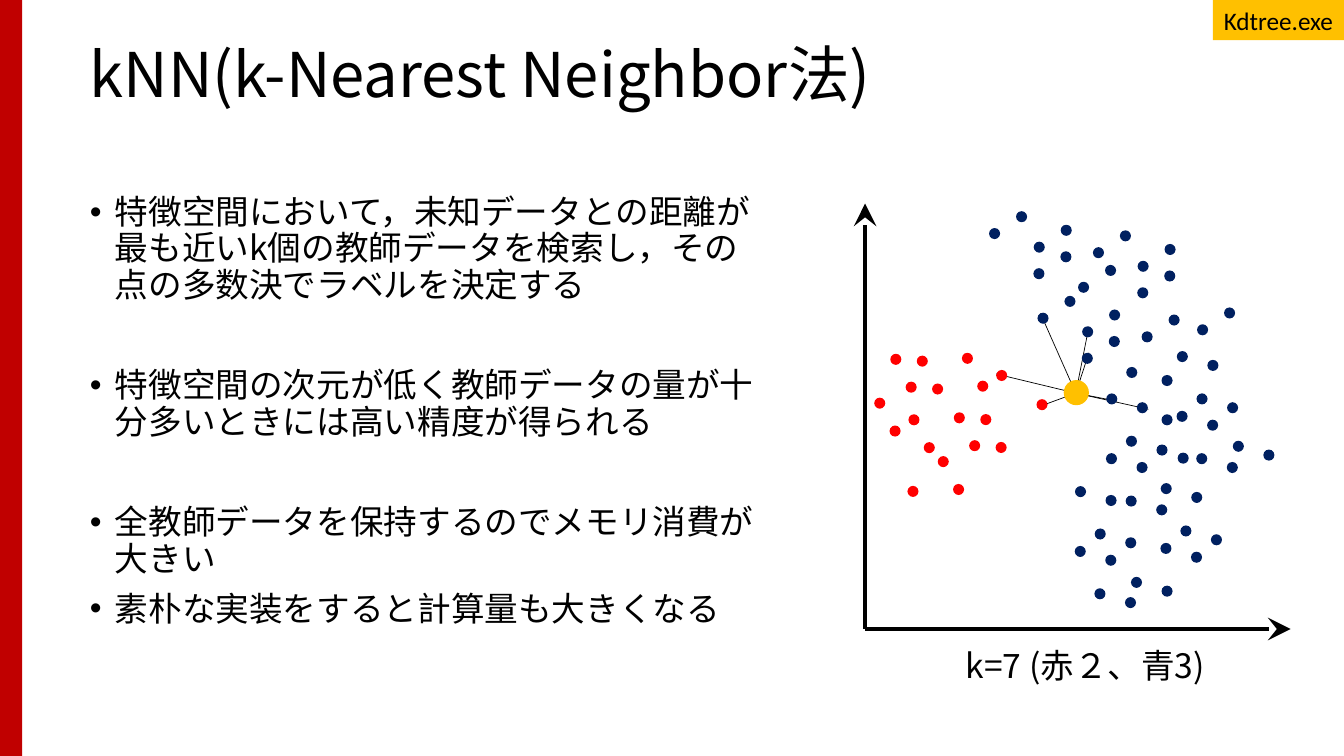
import math
from dataclasses import dataclass
from itertools import chain

from lxml import etree
from pptx import Presentation
from pptx import util as u
from pptx.dml.color import RGBColor
from pptx.enum import shapes, text
from pptx.oxml import ns

# The slide is a fine grid; every length below is a count of columns or rows
COLUMNS, ROWS = 1333, 750
CELL = u.Inches(0.01)


@dataclass(frozen=True)
class Theme:
    ink: str = "000000"
    bar: str = "C00000"
    red: str = "FF0000"
    blue: str = "002060"
    accent: str = "FFC000"
    font: str = "Noto Sans CJK JP"
    tag_font: str = "Calibri"
    title_size: int = 44
    body_size: int = 24
    tag_size: int = 18
    axis_width: float = 3.25
    link_width: float = 0.5


THEME = Theme()

# Space before a bullet in points: same topic or new topic
NEAR, FAR = 10, 46
BULLETS = [
    ("特徴空間において，未知データとの距離が最も近いk個の教師データを検索し，その点の多数決でラベルを決定する", 0),
    ("特徴空間の次元が低く教師データの量が十分多いときには高い精度が得られる", FAR),
    ("全教師データを保持するのでメモリ消費が大きい", FAR),
    ("素朴な実装をすると計算量も大きくなる", NEAR),
]

# One motif makes the scatter: pairs of dots at the corners of a parallelogram
PARTNER = (22.3, 22.3)  # from a dot to the other dot of its pair
HOME, NEXT, ACROSS, OPPOSITE = (0, 0), (-3.2, 46.2), (28.9, -51.8), (25.7, -5.6)
FULL = (HOME, NEXT, ACROSS, OPPOSITE)
THREE = (HOME, NEXT, OPPOSITE)
PAIR = (HOME,)


@dataclass(frozen=True)
class Cluster:
    """Motifs turned by one angle, each anchored at a cell, plus single dots."""
    color: str
    angle: float
    motifs: tuple
    singles: tuple

    def dots(self):
        for (left, top), pairs in self.motifs:
            for x, y in pairs:
                for partner_x, partner_y in (HOME, PARTNER):
                    dx, dy = rotate(x + partner_x, y + partner_y, self.angle)
                    yield left + dx, top + dy
        yield from self.singles


CLUSTERS = [
    Cluster(THEME.red, 16.2,
            (((883, 351), THREE), ((946, 409), THREE), ((901, 411), PAIR), ((954, 350), PAIR)),
            ((900, 482), (988, 367), (1028, 396))),
    Cluster(THEME.blue, 151.1,
            (((1147, 441), FULL), ((1116, 533), FULL), ((1217, 399), FULL),
             ((1201, 530), THREE), ((1152, 581), PAIR), ((1253, 446), PAIR)),
            ((1168, 449),)),
    Cluster(THEME.blue, 103,
            (((1052, 223), FULL), ((1155, 242), THREE), ((1100, 307), THREE),
             ((1159, 312), PAIR), ((1214, 305), PAIR)),
            ((1152, 411), (1117, 364), (1152, 372))),
]
DOT, QUERY_DOT = 11, 25
QUERY, QUERY_CENTRE = (1055, 377), (1067, 390)
RED_NEIGHBOURS = [(1029, 404), (988, 371)]
BLUE_NEIGHBOURS = [(1032, 311), (1108, 398), (1139, 406), (1080, 350), (1080, 324)]
ORIGIN, AXIS_LENGTH = (858, 624), 422


def rotate(x, y, degrees):
    cosine, sine = math.cos(math.radians(degrees)), math.sin(math.radians(degrees))
    return x * cosine - y * sine, x * sine + y * cosine


def cells(*counts):
    return [round(count * CELL) for count in counts]


def place(shape, left, top, width, height):
    shape.left, shape.top, shape.width, shape.height = cells(left, top, width, height)


def add_run(paragraph, wording, size, font=THEME.font):
    run = paragraph.add_run()
    run.text = wording
    run.font.size = u.Pt(size)
    run.font.name = font
    run.font.color.rgb = RGBColor.from_string(THEME.ink)
    etree.SubElement(run.font._element, ns.qn("a:ea")).set("typeface", font)


def add_filled(slide, kind, box, color):
    shape = slide.shapes.add_shape(kind, *cells(*box))
    shape.shadow.inherit = False
    shape.fill.solid()
    shape.fill.fore_color.rgb = RGBColor.from_string(color)
    shape.line.fill.background()
    return shape


def add_dot(slide, corner, size, color):
    add_filled(slide, shapes.MSO_SHAPE.OVAL, (*corner, size, size), color)


def add_line(slide, start, end, width, arrow=False):
    line = slide.shapes.add_connector(shapes.MSO_CONNECTOR.STRAIGHT, *cells(*start, *end))
    line.line.color.rgb = RGBColor.from_string(THEME.ink)
    line.line.width = u.Pt(width)
    if arrow:
        outline = line._element.spPr.find(ns.qn("a:ln"))
        etree.SubElement(outline, ns.qn("a:tailEnd"), type="stealth", w="lg", len="lg")
    etree.SubElement(line._element.spPr, ns.qn("a:effectLst"))


def prepare_frame(shape, anchor):
    frame = shape.text_frame
    frame.auto_size = text.MSO_AUTO_SIZE.NONE
    frame.vertical_anchor = anchor
    return frame


def fill_title(slide, wording):
    place(slide.shapes.title, 79, 37, 1205, 80)
    paragraph = prepare_frame(slide.shapes.title, text.MSO_ANCHOR.MIDDLE).paragraphs[0]
    paragraph.alignment = text.PP_ALIGN.LEFT
    paragraph.line_spacing = 0.9
    add_run(paragraph, wording, THEME.title_size)


def fill_body(slide, bullets):
    body = slide.placeholders[1]
    place(body, 79, 189, 694, 481)
    frame = prepare_frame(body, text.MSO_ANCHOR.TOP)
    for index, (wording, space) in enumerate(bullets):
        paragraph = frame.add_paragraph() if index else frame.paragraphs[0]
        properties = paragraph._p.get_or_add_pPr()
        properties.set("marL", str(25 * CELL))
        properties.set("indent", str(-25 * CELL))
        etree.SubElement(properties, ns.qn("a:buFont")).set("typeface", "Arial")
        etree.SubElement(properties, ns.qn("a:buChar")).set("char", "•")
        paragraph.line_spacing = 0.9
        paragraph.space_before = u.Pt(space)
        add_run(paragraph, wording, THEME.body_size)


def add_plot(slide):
    # Links lie behind the dots
    for neighbour in chain(RED_NEIGHBOURS, BLUE_NEIGHBOURS):
        add_line(slide, neighbour, QUERY_CENTRE, THEME.link_width)

    # Axes of equal length
    left, bottom = ORIGIN
    for end in ((left + AXIS_LENGTH, bottom), (left, bottom - AXIS_LENGTH)):
        add_line(slide, ORIGIN, end, THEME.axis_width, arrow=True)

    # Teacher data, then the unknown point
    for cluster in CLUSTERS:
        for corner in cluster.dots():
            add_dot(slide, corner, DOT, cluster.color)
    add_dot(slide, QUERY, QUERY_DOT, THEME.accent)


def add_caption(slide, wording):
    frame = slide.shapes.add_textbox(*cells(948, 635, 283, 50)).text_frame
    frame.word_wrap = True
    add_run(frame.paragraphs[0], wording, THEME.body_size)


def add_tag(slide, wording):
    tag = add_filled(slide, shapes.MSO_SHAPE.RECTANGLE, (1203, 0, 130, 40), THEME.accent)
    frame = prepare_frame(tag, text.MSO_ANCHOR.MIDDLE)
    frame.word_wrap = False
    frame.paragraphs[0].alignment = text.PP_ALIGN.CENTER
    add_run(frame.paragraphs[0], wording, THEME.tag_size, THEME.tag_font)


def main():
    presentation = Presentation()
    presentation.slide_width, presentation.slide_height = cells(COLUMNS, ROWS)
    slide = presentation.slides.add_slide(presentation.slide_layouts[1])
    add_filled(slide, shapes.MSO_SHAPE.RECTANGLE, (0, 0, 22, ROWS), THEME.bar)
    fill_title(slide, "kNN(k-Nearest Neighbor法)")
    fill_body(slide, BULLETS)
    add_plot(slide)
    add_caption(slide, "k=7 (赤２、青3)")
    add_tag(slide, "Kdtree.exe")
    presentation.save("out.pptx")


if __name__ == "__main__":
    main()
